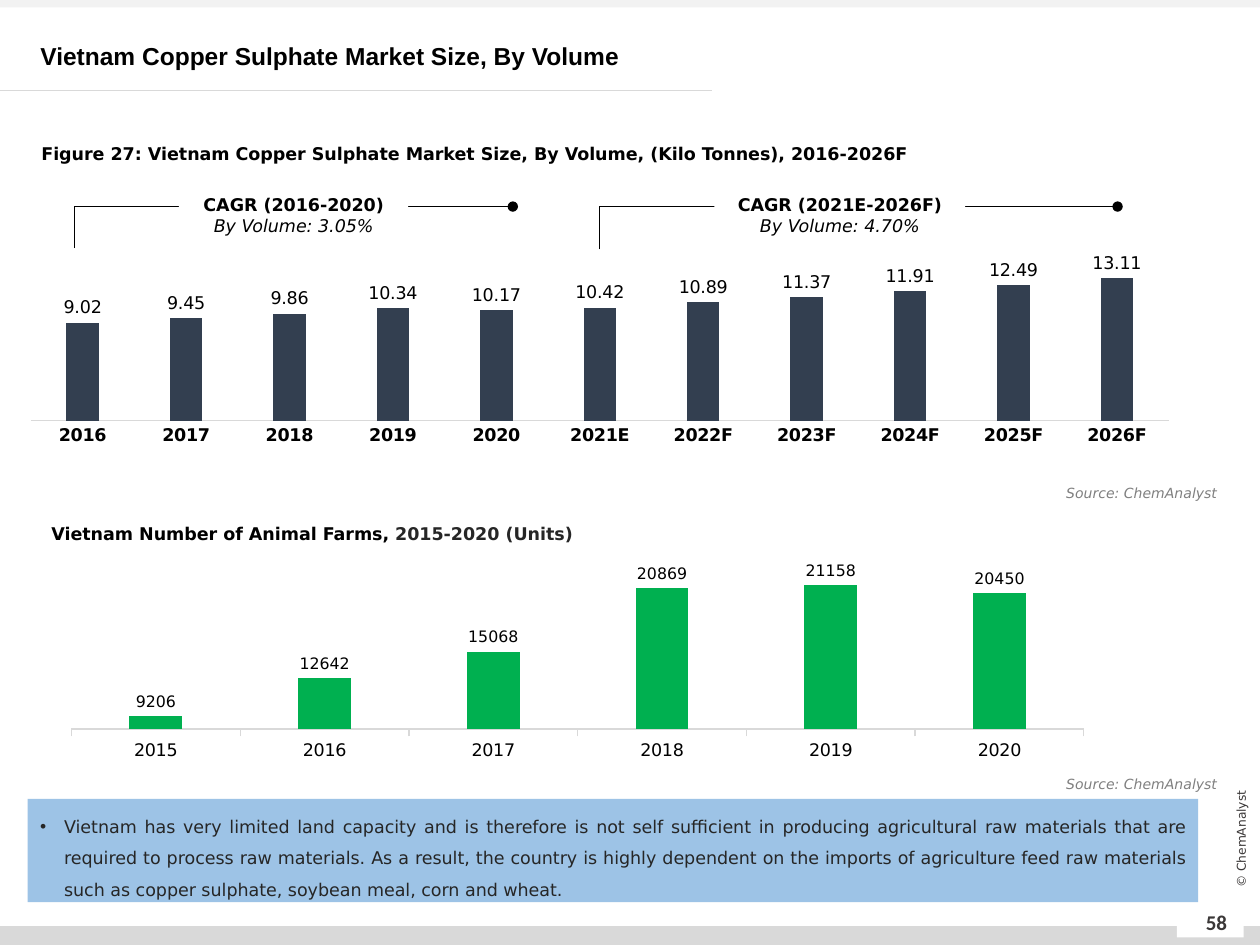
from dataclasses import dataclass
from typing import Any, Optional

import lxml.etree
import pptx
import pptx.chart.data
import pptx.dml.color
import pptx.enum.chart
import pptx.enum.shapes
import pptx.enum.text
import pptx.oxml.ns
import pptx.util

RGB = pptx.dml.color.RGBColor
ALIGN = pptx.enum.text.PP_ALIGN
ANCHOR = pptx.enum.text.MSO_ANCHOR
AUTO = pptx.enum.text.MSO_AUTO_SIZE
CONNECTOR = pptx.enum.shapes.MSO_CONNECTOR
TICK = pptx.enum.chart.XL_TICK_MARK
Pt = pptx.util.Pt
qn = pptx.oxml.ns.qn

BLACK = RGB(0x00, 0x00, 0x00)
WHITE = RGB(0xFF, 0xFF, 0xFF)
INK = RGB(0x26, 0x26, 0x26)
DARK = RGB(0x3B, 0x38, 0x38)
GRAY = RGB(0x80, 0x80, 0x80)
RULE = RGB(0xD9, 0xD9, 0xD9)
PALE = RGB(0xF2, 0xF2, 0xF2)
NAVY = RGB(0x33, 0x3F, 0x50)
GREEN = RGB(0x00, 0xB0, 0x50)
BLUE = RGB(0x9D, 0xC3, 0xE6)
SANS = "DejaVu Sans"

WIDTH, HEIGHT = pptx.util.Inches(10), pptx.util.Inches(7.5)
COLS, ROWS = 100, 75


@dataclass(frozen=True)
class Box:
    col: float
    row: float
    cols: float
    rows: float

    def emu(self) -> tuple[int, int, int, int]:
        return x(self.col), y(self.row), x(self.cols), y(self.rows)


@dataclass(frozen=True)
class Run:
    text: str
    size: float = 10
    color: RGB = BLACK
    bold: bool = False
    italic: bool = False
    font: str = SANS


@dataclass(frozen=True)
class BarChart:
    box: Box
    cats: list[str]
    values: list[float]
    color: RGB
    low: float
    high: float
    label_size: float
    number_format: str
    bold_cats: bool
    tick: Any
    plot: tuple[float, float, float, float]


@dataclass(frozen=True)
class Cagr:
    label: Box
    start: tuple[float, float]
    end: tuple[float, float]
    period: str
    rate: str


def x(cols: float) -> int:
    return round(WIDTH * cols / COLS)


def y(rows: float) -> int:
    return round(HEIGHT * rows / ROWS)


def write(sp: Any, paragraphs: list[list[Run]], align: Any = ALIGN.LEFT, anchor: Any = ANCHOR.TOP,
          spacing: Any = None, grow: bool = False, bullet: bool = False) -> None:
    tf = sp.text_frame
    tf.word_wrap = True
    tf.vertical_anchor = anchor
    tf.auto_size = AUTO.SHAPE_TO_FIT_TEXT if grow else AUTO.NONE
    for i, runs in enumerate(paragraphs):
        p = tf.add_paragraph() if i else tf.paragraphs[0]
        p.alignment = align
        p.line_spacing = spacing
        if bullet:
            ppr = p._p.get_or_add_pPr()
            ppr.set("marL", str(x(1.9)))
            ppr.set("indent", str(-x(1.9)))
            lxml.etree.SubElement(ppr, qn("a:buFont")).set("typeface", "Arial")
            lxml.etree.SubElement(ppr, qn("a:buChar")).set("char", "•")
        for run in runs:
            r = p.add_run()
            r.text = run.text
            set_font(r.font, run)


def set_font(font: Any, style: Run) -> None:
    font.name, font.size = style.font, Pt(style.size)
    font.bold, font.italic = style.bold, style.italic
    font.color.rgb = style.color


def add_text(shapes: Any, box: Box, paragraphs: list[list[Run]], **layout: Any) -> Any:
    sp = shapes.add_textbox(*box.emu())
    write(sp, paragraphs, **layout)
    return sp


def add_rect(shapes: Any, box: Box, color: RGB) -> Any:
    sp = shapes.add_shape(pptx.enum.shapes.MSO_SHAPE.RECTANGLE, *box.emu())
    sp.shadow.inherit = False
    sp.fill.solid()
    sp.fill.fore_color.rgb = color
    sp.line.fill.background()
    return sp


def add_line(shapes: Any, kind: Any, start: tuple[float, float], end: tuple[float, float], color: RGB) -> Any:
    line = shapes.add_connector(kind, x(start[0]), y(start[1]), x(end[0]), y(end[1]))
    line.line.color.rgb = color
    line.line.width = Pt(0.5)
    lxml.etree.SubElement(line._element.spPr, qn("a:effectLst"))
    return line


def add_cagr(shapes: Any, cagr: Cagr) -> None:
    group = shapes.add_group_shape().shapes
    line = add_line(group, CONNECTOR.ELBOW, cagr.start, cagr.end, BLACK)
    guide = lxml.etree.SubElement(line._element.spPr.find(".//" + qn("a:avLst")), qn("a:gd"))
    guide.set("name", "adj1")
    guide.set("fmla", "val 0")
    lxml.etree.SubElement(line.line._get_or_add_ln(), qn("a:tailEnd")).set("type", "oval")
    sp = add_rect(group, cagr.label, WHITE)
    write(sp, [[Run(f"CAGR ({cagr.period})", bold=True)], [Run(f"By Volume: {cagr.rate}", italic=True)]],
          align=ALIGN.CENTER, anchor=ANCHOR.MIDDLE)


def add_bars(shapes: Any, bars: BarChart) -> None:
    data = pptx.chart.data.CategoryChartData(number_format=bars.number_format)
    data.categories = bars.cats
    data.add_series("Series 1", bars.values)
    kind = pptx.enum.chart.XL_CHART_TYPE.COLUMN_CLUSTERED
    chart = shapes.add_chart(kind, *bars.box.emu(), data).chart
    chart.has_legend = chart.has_title = False
    set_font(chart.font, Run(""))
    plot = chart.plots[0]
    plot.vary_by_categories = False
    plot.gap_width, plot.overlap = 219, -27
    fill = plot.series[0].format.fill
    fill.solid()
    fill.fore_color.rgb = bars.color
    plot.has_data_labels = True
    labels = plot.data_labels
    labels.show_value = True
    labels.position = pptx.enum.chart.XL_LABEL_POSITION.OUTSIDE_END
    labels.number_format, labels.number_format_is_linked = bars.number_format, False
    set_font(labels.font, Run("", bars.label_size))
    val, cat = chart.value_axis, chart.category_axis
    val.visible = val.has_major_gridlines = False
    val.minimum_scale, val.maximum_scale = bars.low, bars.high
    cat.major_tick_mark = bars.tick
    cat.format.line.color.rgb = RULE
    cat.format.line.width = Pt(0.75)
    set_font(cat.tick_labels.font, Run("", bold=bars.bold_cats))
    area = plot._element.getparent()
    for old in area.findall(qn("c:layout")):
        area.remove(old)
    layout = lxml.etree.Element(qn("c:layout"))
    area.insert(0, layout)
    manual = lxml.etree.SubElement(layout, qn("c:manualLayout"))
    settings = ["inner", "edge", "edge", *bars.plot]
    for tag, value in zip(("layoutTarget", "xMode", "yMode", "x", "y", "w", "h"), settings):
        lxml.etree.SubElement(manual, qn("c:" + tag)).set("val", str(value))


def main() -> None:
    prs = pptx.Presentation()
    prs.slide_width, prs.slide_height = WIDTH, HEIGHT
    s = prs.slides.add_slide(prs.slide_layouts[5])
    shapes = s.shapes
    title = shapes.title
    title.left, title.top, title.width, title.height = Box(2.2, 2.8, 97.6, 3.2).emu()
    write(title, [[Run("Vietnam Copper Sulphate Market Size, By Volume", 14, bold=True, font="Arial")]],
          anchor=ANCHOR.MIDDLE, spacing=Pt(17), grow=True)

    for box, color in ((Box(0, 73.5, 100, 1.5), RULE), (Box(0, 0, 100, 0.6), PALE),
                       (Box(93.4, 72.2, 5.3, 2.2), WHITE)):
        add_rect(shapes, box, color)
    add_line(shapes, CONNECTOR.STRAIGHT, (0, 7.2), (56.5, 7.2), RULE)
    centred = dict(align=ALIGN.CENTER, anchor=ANCHOR.MIDDLE)
    add_text(shapes, Box(94.1, 71.2, 4.9, 4), [[Run("58", 12, DARK, True, font="Calibri")]], **centred)
    add_text(shapes, Box(92.5, 65.8, 12, 1.6), [[Run("© ChemAnalyst", 7, DARK)]], **centred).rotation = 270

    years = [str(year) for year in range(2015, 2021)]
    forecast = ["2021E"] + [f"{year}F" for year in range(2022, 2027)]
    add_bars(shapes, BarChart(
        Box(2.4, 18, 90.4, 20.8), years[1:] + forecast,
        [9.02, 9.45, 9.86, 10.34, 10.17, 10.42, 10.89, 11.37, 11.91, 12.49, 13.11],
        NAVY, 0, 14, 10, "0.00", True, TICK.NONE, (0, 0.16, 1, 0.58)))
    add_bars(shapes, BarChart(
        Box(4, 44.1, 83.7, 16.3), years, [9206, 12642, 15068, 20869, 21158, 20450],
        GREEN, 8000, 22000, 9, "0", False, TICK.OUTSIDE, (0.02, 0.1, 0.96, 0.75)))

    add_cagr(shapes, Cagr(Box(56.7, 14.2, 19.9, 5.7), (47.6, 19.8), (88.7, 16.4), "2021E-2026F", "4.70%"))
    add_cagr(shapes, Cagr(Box(14.2, 14.2, 18.2, 5.7), (5.9, 19.7), (40.7, 16.4), "2016-2020", "3.05%"))

    heading = "Figure 27: Vietnam Copper Sulphate Market Size, By Volume, (Kilo Tonnes), 2016-2026F"
    add_text(shapes, Box(2.3, 10, 88.2, 3.2), [[Run(heading, bold=True)]], spacing=1.5, grow=True)
    add_text(shapes, Box(3.1, 40.2, 86.5, 3.2),
             [[Run("Vietnam Number of Animal Farms, ", bold=True), Run("2015-2020 (Units)", 10, INK, True)]],
             spacing=1.5, grow=True)
    for row in (38, 61.1):
        add_text(shapes, Box(73.5, row, 24.1, 2.4), [[Run("Source: ChemAnalyst", 8, GRAY, italic=True)]],
                 align=ALIGN.RIGHT, grow=True)
    note = ("Vietnam has very limited land capacity and is therefore is not self sufficient in producing "
            "agricultural raw materials that are required to process raw materials. As a result, the country "
            "is highly dependent on the imports of agriculture feed raw materials such as copper sulphate, "
            "soybean meal, corn and wheat.")
    write(add_rect(shapes, Box(2.2, 63.4, 92.9, 8.2), BLUE), [[Run(note, 10, INK)]],
          align=ALIGN.JUSTIFY, spacing=1.5, grow=True, bullet=True)
    prs.save("out.pptx")


if __name__ == "__main__":
    main()
